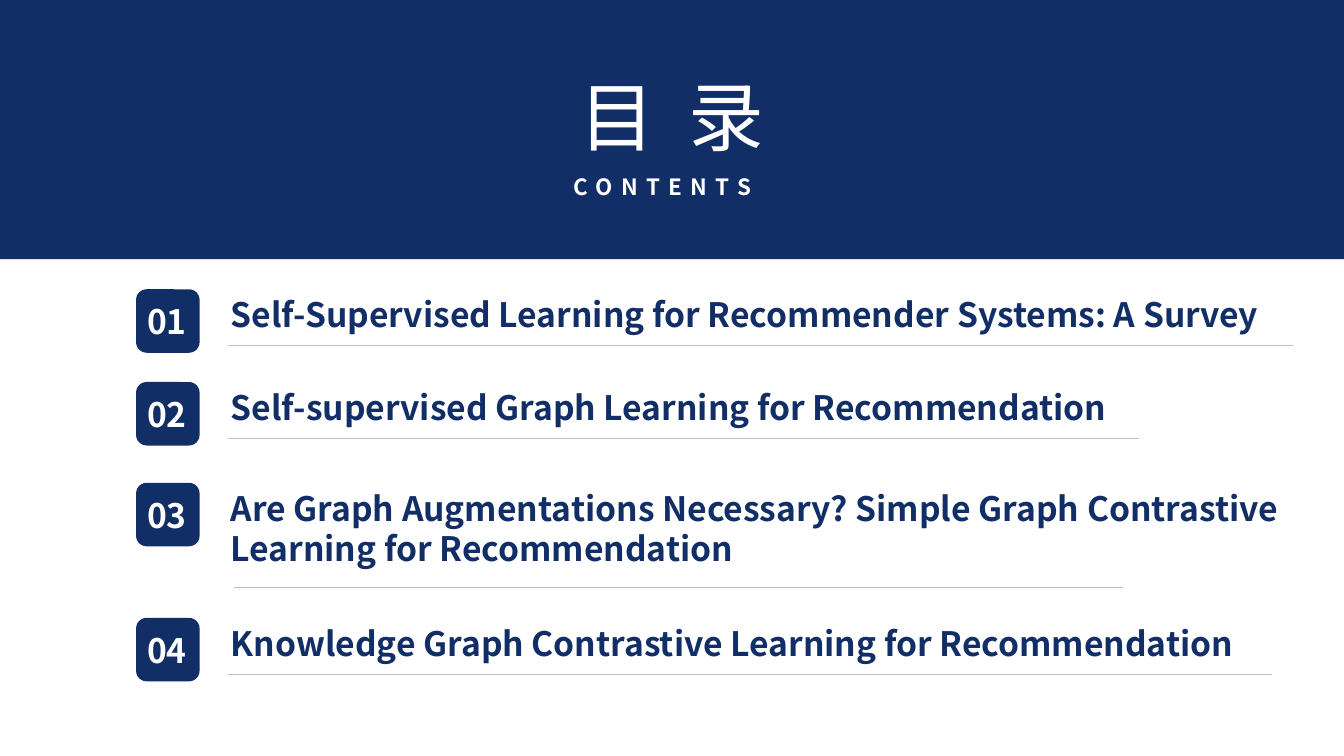
from pptx import Presentation
from pptx.dml.color import RGBColor
from pptx.enum import shapes, text
from pptx.util import Inches, Pt
from lxml import etree

NAVY = RGBColor(0x12, 0x2E, 0x66)
WHITE = RGBColor(0xFF, 0xFF, 0xFF)
GRAY = RGBColor(0xBF, 0xBF, 0xBF)
FONT = "Noto Sans CJK SC"
NS = "{http://schemas.openxmlformats.org/drawingml/2006/main}"

deck = Presentation()
deck.slide_width, deck.slide_height = Inches(13.33), Inches(7.5)
slide = deck.slides.add_slide(deck.slide_layouts[6])


def add_block(kind, x, y, w, h):
    block = slide.shapes.add_shape(kind, Inches(x), Inches(y), Inches(w), Inches(h))
    block.shadow.inherit = False
    block.fill.solid()
    block.fill.fore_color.rgb = NAVY
    block.line.fill.background()


def add_label(words, x, y, w, h, size, color, bold=True, gap=0, align=text.PP_ALIGN.LEFT):
    box = slide.shapes.add_textbox(Inches(x), Inches(y), Inches(w), Inches(h))
    frame = box.text_frame
    frame.word_wrap = True
    frame.auto_size = text.MSO_AUTO_SIZE.SHAPE_TO_FIT_TEXT
    para = frame.paragraphs[0]
    para.alignment = align
    run = para.add_run()
    run.text = words
    run.font.name, run.font.size, run.font.bold = FONT, Pt(size), bold
    run.font.color.rgb = color
    props = run.font._element
    etree.SubElement(props, NS + "ea").set("typeface", FONT)
    if gap:
        props.set("spc", str(gap * 100))


# Header band
add_block(shapes.MSO_SHAPE.RECTANGLE, -0.01, -0.02, 13.36, 2.59)
add_label("目 录", 5.45, 0.64, 2.43, 1.01, 54, WHITE, False, 6, text.PP_ALIGN.CENTER)
add_label("CONTENTS", 5.59, 1.67, 2.16, 0.37, 16, WHITE, gap=6)

# Contents: title, top, title width and height, rule start, end and drop
items = [
    ("Self-Supervised Learning for Recommender Systems: A Survey",
     2.87, 10.94, 0.5, 2.26, 12.82, 0.56),
    ("Self-supervised Graph Learning for Recommendation",
     3.79, 10.43, 0.5, 2.26, 11.3, 0.56),
    ("Are Graph Augmentations Necessary? Simple Graph Contrastive Learning for Recommendation",
     4.79, 10.83, 0.91, 2.32, 11.14, 1.04),
    ("Knowledge Graph Contrastive Learning for Recommendation",
     6.13, 10.67, 0.5, 2.26, 12.62, 0.56),
]
for num, (title, top, wide, high, start, end, drop) in enumerate(items, 1):
    # Rule under the title
    rule = slide.shapes.add_connector(
        shapes.MSO_CONNECTOR.STRAIGHT,
        Inches(start), Inches(top + drop), Inches(end), Inches(top + drop))
    rule.line.color.rgb = GRAY
    rule.line.width = Pt(0.75)
    etree.SubElement(rule._element.spPr, NS + "effectLst")

    # Number badge and title
    add_block(shapes.MSO_SHAPE.ROUNDED_RECTANGLE, 1.35, top, 0.63, 0.63)
    add_label(f"{num:02d}", 1.36, top + 0.07, 0.75, 0.5, 24, WHITE)
    add_label(title, 2.19, top, wide, high, 24, NAVY)

deck.save("out.pptx")
